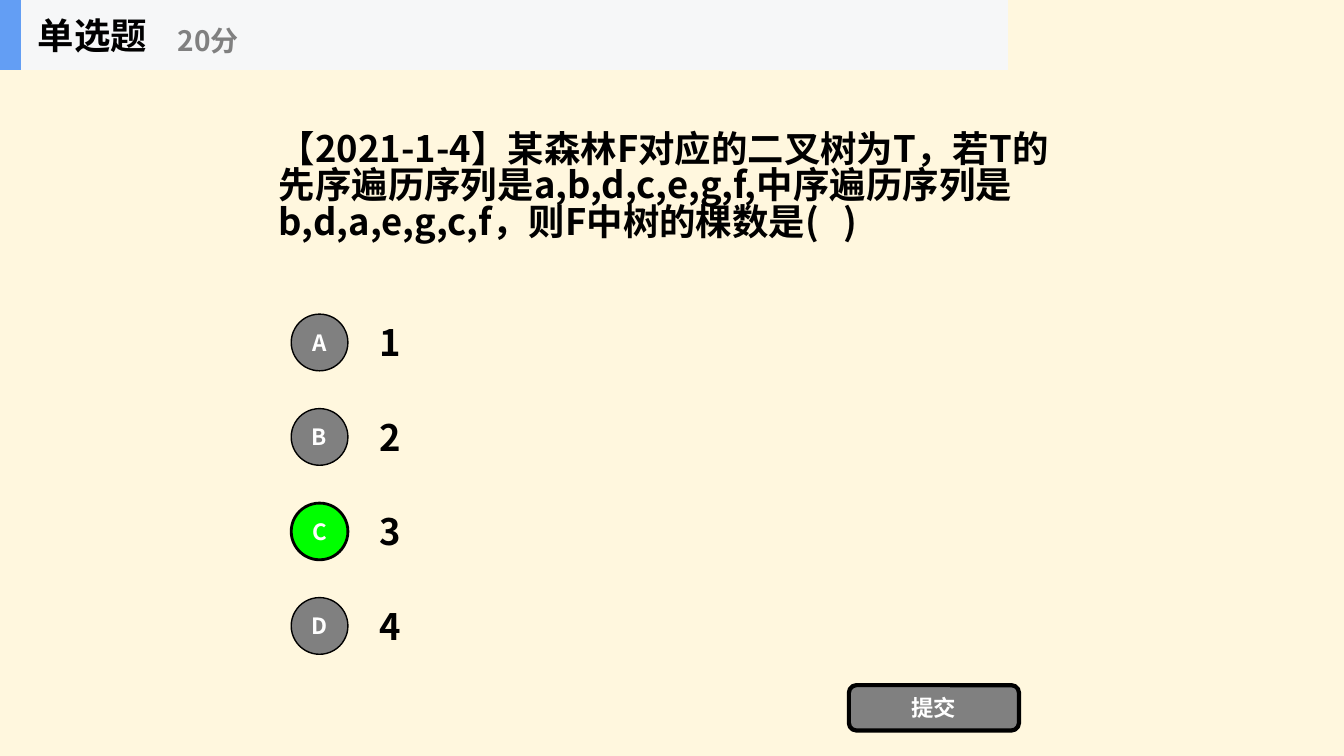
from dataclasses import dataclass

from lxml import etree
from pptx import Presentation
from pptx.dml.color import RGBColor
from pptx.enum import shapes, text
from pptx.oxml import ns
from pptx.util import Pt

HEADING = "单选题"
SCORE = "20分"
QUESTION = (
    "【2021-1-4】某森林F对应的二叉树为T，若T的先序遍历序列是a,b,d,c,e,g,f,"
    "中序遍历序列是b,d,a,e,g,c,f，则F中树的棵数是(   )"
)
OPTIONS = [("A", "1"), ("B", "2"), ("C", "3"), ("D", "4")]
CORRECT = "C"
SUBMIT = "提交"


@dataclass(frozen=True)
class Theme:
    """Colours, type sizes and font of the quiz slide."""

    font: str = "Noto Sans CJK SC"
    page: str = "FFF7DE"
    bar: str = "F6F7F8"
    accent: str = "639EF4"
    ink: str = "000000"
    grey: str = "808080"
    white: str = "FFFFFF"
    correct: str = "00FF00"
    body: int = 26
    score: int = 20
    label: int = 16


THEME = Theme()


def place(box, left, top, width, height):
    """Move and size a shape in points."""
    box.left, box.top, box.width, box.height = map(Pt, (left, top, width, height))


def write(box, words, size=THEME.body, color=THEME.ink, align=text.PP_ALIGN.LEFT,
          wrap=True, inset=7.2, spacing=1.0):
    """Fill a shape with one bold, vertically centred paragraph."""
    frame = box.text_frame
    frame.auto_size = text.MSO_AUTO_SIZE.NONE
    frame.word_wrap = wrap
    frame.vertical_anchor = text.MSO_ANCHOR.MIDDLE
    frame.margin_left = frame.margin_right = Pt(inset)
    frame.margin_top = frame.margin_bottom = Pt(inset / 2)
    para = frame.paragraphs[0]
    para.alignment = align
    para.line_spacing = spacing
    span = para.add_run()
    span.text = words
    span.font.name = THEME.font
    span.font.size = Pt(size)
    span.font.bold = True
    span.font.color.rgb = RGBColor.from_string(color)
    east = etree.SubElement(span.font._element, ns.qn("a:ea"))
    east.set("typeface", THEME.font)


def add_text(page, area, words, **style):
    """Add a text box."""
    write(page.shapes.add_textbox(*map(Pt, area)), words, **style)


def add_block(page, kind, area, fill, line=0, words=""):
    """Add a filled shape with an optional outline and centred label."""
    box = page.shapes.add_shape(kind, *map(Pt, area))
    box.shadow.inherit = False
    box.fill.solid()
    box.fill.fore_color.rgb = RGBColor.from_string(fill)
    if line:
        box.line.color.rgb = RGBColor.from_string(THEME.ink)
        box.line.width = Pt(line)
    else:
        box.line.fill.background()
    if words:
        write(box, words, size=THEME.label, color=THEME.white,
              align=text.PP_ALIGN.CENTER, inset=0)
    return box


def main():
    """Build the single-choice question slide."""
    deck = Presentation()
    deck.slide_width, deck.slide_height = Pt(960), Pt(540)
    page = deck.slides.add_slide(deck.slide_layouts[5])
    page.background.fill.solid()
    page.background.fill.fore_color.rgb = RGBColor.from_string(THEME.page)

    place(page.shapes.title, 192, 50, 576, 168.5)
    write(page.shapes.title, QUESTION, spacing=0.83)

    first, pitch, row, circle = 219.4, 67.5, 50.4, 40.5
    for index, (letter, answer) in enumerate(OPTIONS):
        top = first + index * pitch
        right = letter == CORRECT
        add_text(page, (264, top, 504, row), answer)
        add_block(page, shapes.MSO_SHAPE.OVAL,
                  (208, top + (row - circle) / 2, circle, circle),
                  THEME.correct if right else THEME.grey, 2 if right else 1, letter)

    add_block(page, shapes.MSO_SHAPE.ROUNDED_RECTANGLE,
              (606.4, 489.4, 121.5, 32.4), THEME.grey, 3, SUBMIT)

    for width, fill in ((720, THEME.bar), (15, THEME.accent)):
        add_block(page, shapes.MSO_SHAPE.RECTANGLE, (0, 0, width, 50), fill)
    add_text(page, (20, 0, 150, 50), HEADING, wrap=False)
    add_text(page, (120, 8.6, 180, 40), SCORE, size=THEME.score,
             color=THEME.grey, wrap=False)
    deck.save("out.pptx")


if __name__ == "__main__":
    main()
